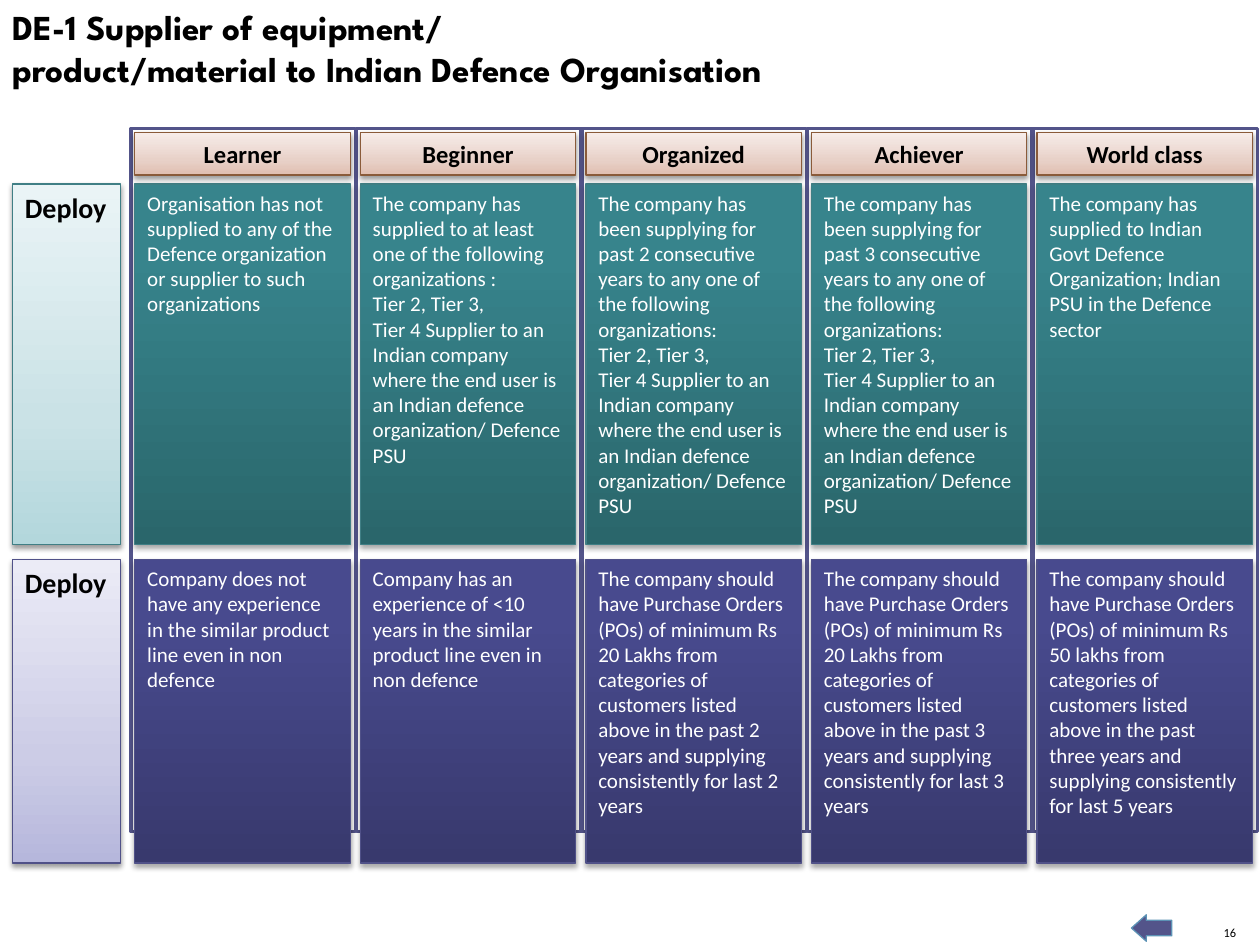
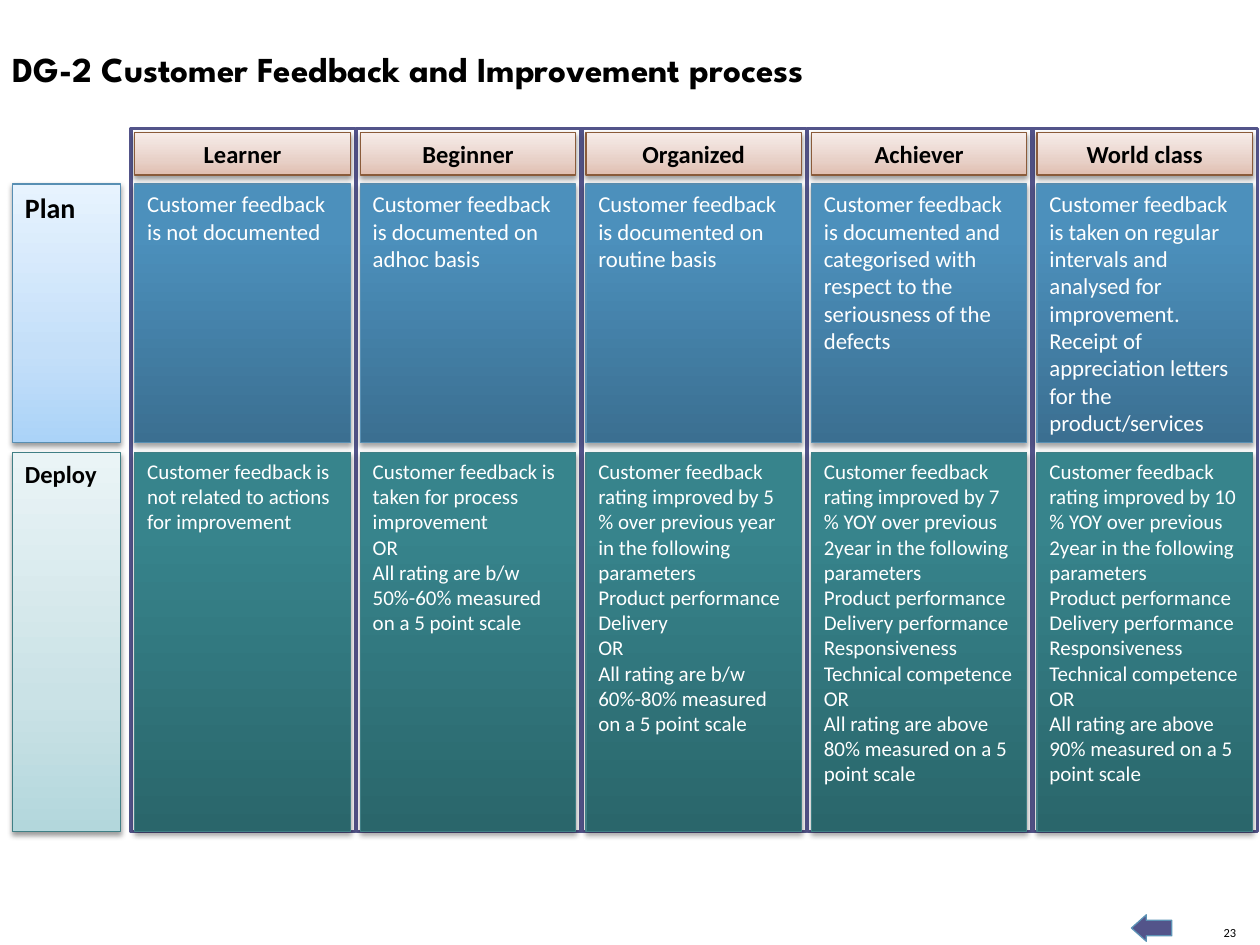
import pptx
import pptx.util
import pptx.dml.color
import pptx.enum.shapes
import pptx.enum.text
import pptx.oxml.ns
from lxml import etree

Inches = pptx.util.Inches
Pt = pptx.util.Pt
qn = pptx.oxml.ns.qn
ALIGN = pptx.enum.text.PP_ALIGN
ANCHOR = pptx.enum.text.MSO_ANCHOR
KIND = pptx.enum.shapes.MSO_SHAPE

COLORS = {
    "ink": "000000", "white": "FFFFFF", "frame": "53548A", "edge": "5C92B5",
    "head": ["E0BEB0", "E8D1C8", "F7EDEA"], "head line": "8A5B3A",
    "teal": ["2A666B", "37848C", "36868E"], "teal line": "407F85",
    "teal pale": ["B3D7DC", "CAE2E6", "EAF4F6"],
    "violet": ["38396D", "484A8E", "474990"], "violet line": "505188",
    "violet pale": ["B6B7DC", "CCCCE6", "EBEBF6"],
    "blue": ["3B6F91", "4C90BC", "4A91BF"], "blue line": "588FB3",
    "blue pale": ["ABD3F8", "C4DFF9", "E7F3FE"],
}
LEVELS = ["Learner", "Beginner", "Organized", "Achiever", "World class"]
STEP = 1.79
TIERS = ("Tier 2, Tier 3,\nTier 4 Supplier to an Indian company where the end user is "
         "an Indian defence organization/ Defence PSU")
SUPPLY = ("The company has been supplying for past {} consecutive years to any one of "
          "the following organizations:\n" + TIERS)
ORDERS = ("The company should have Purchase Orders (POs) of minimum Rs {} from categories "
          "of customers listed above in the past {} years and supplying consistently "
          "for last {} years")
RATING = ("Customer feedback rating improved by {} % YOY over previous 2year in the "
          "following parameters\nProduct performance\nDelivery performance\n"
          "Responsiveness\nTechnical competence\nOR\n"
          "All rating are above {}% measured on a 5 point scale")

SLIDES = [
    {
        "title": "DE-1 Supplier of equipment/\nproduct/material to Indian Defence Organisation",
        "box": (0, -0.01, 7.59, 0.77),
        "page": "16",
        "rows": [
            ("Deploy", 16, "teal", 1.46, 2.86, 12, [
                "Organisation has not supplied to any of the Defence organization or "
                "supplier to such organizations",
                "The company has supplied to at least one of the following "
                "organizations :\n" + TIERS,
                SUPPLY.format(2),
                SUPPLY.format(3),
                "The company has supplied to Indian Govt Defence Organization; Indian "
                "PSU in the Defence sector",
            ]),
            ("Deploy", 16, "violet", 4.44, 2.41, 12, [
                "Company does not have any experience in the similar product line even "
                "in non defence",
                "Company has an experience of <10 years in the similar product line "
                "even in non defence",
                ORDERS.format("20 Lakhs", 2, 2),
                ORDERS.format("20 Lakhs", 3, 3),
                ORDERS.format("50 lakhs", "three", 5),
            ]),
        ],
    },
    {
        "title": "DG-2 Customer Feedback and Improvement process",
        "box": (0, 0.33, 8.6, 0.44),
        "page": "23",
        "rows": [
            ("Plan", 16, "blue", 1.46, 2.05, 13, [
                "Customer feedback is not documented",
                "Customer feedback is documented on adhoc basis",
                "Customer feedback is documented on routine basis",
                "Customer feedback is documented and categorised with respect to the "
                "seriousness of the defects",
                "Customer feedback is taken on regular intervals and analysed for "
                "improvement.\nReceipt of appreciation letters for the product/services",
            ]),
            ("Deploy", 14, "teal", 3.59, 3.01, 12, [
                "Customer feedback is not related to actions for improvement",
                "Customer feedback is taken for process improvement\nOR\n"
                "All rating are b/w 50%-60% measured on a 5 point scale",
                "Customer feedback rating improved by 5 % over previous year in the "
                "following parameters\nProduct performance\nDelivery\nOR\n"
                "All rating are b/w 60%-80% measured on a 5 point scale",
                RATING.format(7, 80),
                RATING.format(10, 90),
            ]),
        ],
    },
]


def write(frame, text, size, color="ink", bold=False, align=ALIGN.LEFT,
          anchor=ANCHOR.TOP, face="Calibri"):
    frame.text = text
    frame.word_wrap = True
    frame.vertical_anchor = anchor
    for para in frame.paragraphs:
        para.alignment = align
        para.font.name = face
        para.font.size = Pt(size)
        para.font.bold = bold
        para.font.color.rgb = pptx.dml.color.RGBColor.from_string(COLORS[color])


def block(slide, box, fill, line, weight=0.75, middle=35, shade=38, kind=KIND.RECTANGLE):
    shape = slide.shapes.add_shape(kind, *map(Inches, box))
    shape.shadow.inherit = False
    shape.line.color.rgb = pptx.dml.color.RGBColor.from_string(COLORS[line])
    shape.line.width = Pt(weight)
    if isinstance(COLORS[fill], str):
        shape.fill.solid()
        shape.fill.fore_color.rgb = pptx.dml.color.RGBColor.from_string(COLORS[fill])
        return shape
    shape.fill.gradient()
    shape.fill.gradient_angle = 90
    props = shape._element.spPr
    stops = props.find(".//" + qn("a:gsLst"))
    for old in list(stops):
        stops.remove(old)
    for place, color in zip((0, middle, 100), COLORS[fill]):
        stop = etree.SubElement(stops, qn("a:gs"), pos=str(place * 1000))
        etree.SubElement(stop, qn("a:srgbClr"), val=color)
    cast = etree.SubElement(props.find(qn("a:effectLst")), qn("a:outerShdw"),
                            blurRad=str(Pt(3.1)), dist=str(Pt(1.7)), dir="5400000",
                            rotWithShape="0")
    tint = etree.SubElement(cast, qn("a:srgbClr"), val=COLORS["ink"])
    etree.SubElement(tint, qn("a:alpha"), val=str(shade * 1000))
    return shape


deck = pptx.Presentation()
deck.slide_width = Inches(10)
deck.slide_height = Inches(7.5)

for data in SLIDES:
    slide = deck.slides.add_slide(deck.slide_layouts[5])
    title = slide.shapes.title
    title.left, title.top, title.width, title.height = map(Inches, data["box"])
    write(title.text_frame, data["title"], 20, bold=True, face="League Spartan")
    title.text_frame.auto_size = pptx.enum.text.MSO_AUTO_SIZE.NONE

    page = slide.shapes.add_textbox(*map(Inches, (9.69, 7.34, 0.12, 0.12))).text_frame
    write(page, data["page"], 7.1, align=ALIGN.RIGHT, anchor=ANCHOR.BOTTOM)
    page.margin_left = page.margin_right = page.margin_top = page.margin_bottom = 0
    page.word_wrap = False

    arrow = block(slide, (8.98, 7.26, 0.32, 0.21), "frame", "edge", kind=KIND.RIGHT_ARROW)
    arrow.adjustments[0] = 0.59
    arrow.adjustments[1] = 0.56
    arrow.rotation = 180

    for label, size, hue, top, height, _, _ in data["rows"]:
        tag = block(slide, (0.1, top, 0.86, height), hue + " pale", hue + " line")
        write(tag.text_frame, label, size, bold=True)

    for col in range(len(LEVELS)):
        block(slide, (1.04 + STEP * col, 1.02, 1.78, 5.58), "white", "frame", weight=2)

    for _, _, hue, top, height, size, cells in data["rows"]:
        for col, text in enumerate(cells):
            cell = block(slide, (1.07 + STEP * col, top, 1.71, height), hue, hue + " line",
                         middle=80, shade=35)
            write(cell.text_frame, text, size, "white")

    for col, level in enumerate(LEVELS):
        head = block(slide, (1.07 + STEP * col, 1.05, 1.71, 0.34), "head", "head line")
        write(head.text_frame, level, 14, bold=True, align=ALIGN.CENTER,
              anchor=ANCHOR.MIDDLE)

deck.save("out.pptx")
